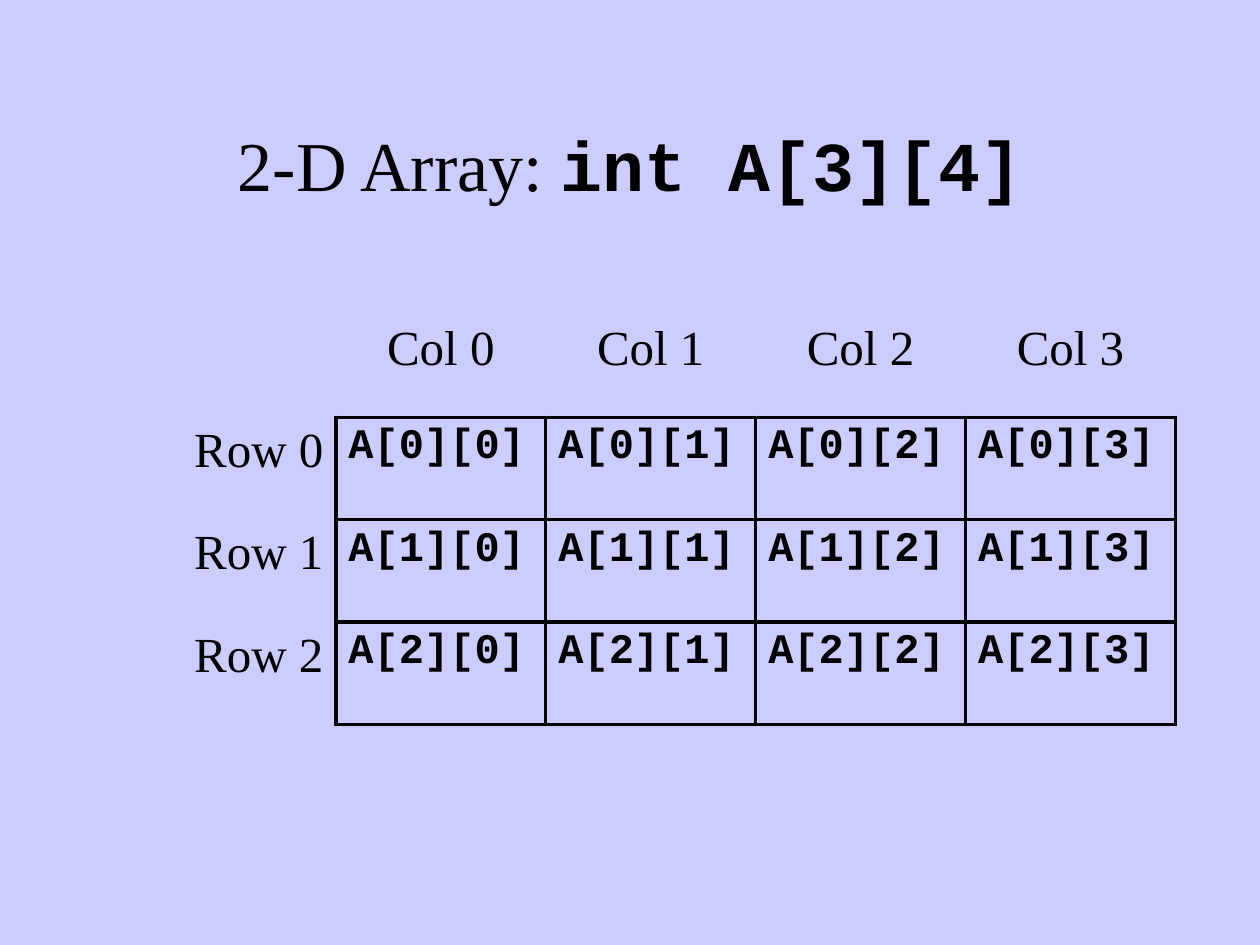
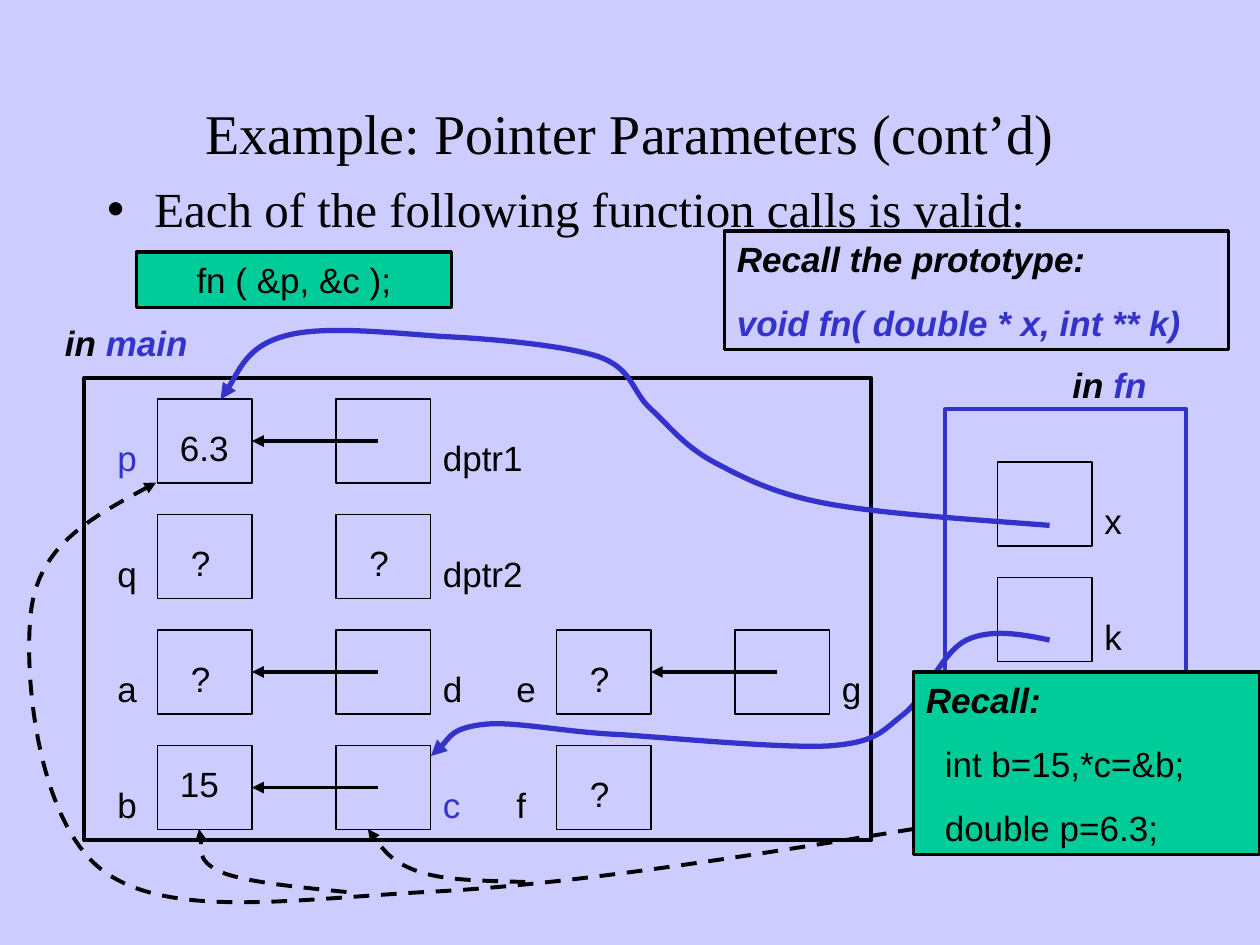
from lxml.etree import SubElement
from pptx import Presentation
from pptx.dml.color import RGBColor
from pptx.enum.dml import MSO_LINE
from pptx.enum.shapes import MSO_CONNECTOR, MSO_SHAPE
from pptx.enum.text import MSO_ANCHOR as Anchor, PP_ALIGN as Align
from pptx.oxml.ns import qn
from pptx.util import Inches, Pt

COLOURS = {"background": "CCCCFF", "ink": "000000", "accent": "3333CC", "call": "00CC99"}
SERIF, SANS, MONO = "Times New Roman", "Arial", "Courier New"
TITLE_SIZE = (8.5, 1.25)
UNIT = 1 / 12  # drawing grid step of the pointer diagram, in inches

# Content: array table
ARRAY_TITLE = [("2-D Array: ", {}), ("int A[3][4]", {"name": MONO, "bold": True})]
ARRAY_ROWS, ARRAY_COLUMNS = 3, 4
TABLE_FRAME = (1, 2.5, 8.33, 3.25)
BORDER_WIDTH = 2.21

# Content: pointer diagram, in grid units
POINTER_TITLE = [("Example: Pointer Parameters (cont’d)", {})]
POINTER_BULLET = [("Each of the following function calls is valid:", {})]
CELL_WIDTH, CELL_HEIGHT, ROW_STEP = 9, 8, 11
CELL_COLUMNS = (15, 32, 53, 70)
MAIN_TOP, FN_TOP, FN_COLUMN = 38, 44, 95
LABEL_WIDTH, TEXT_HEIGHT = 5, 5.25
MAIN_FRAME = (8, 36, 75, 44)
FN_FRAME = (90, 39, 23, 25)

# (column, row, name, side of the name, colour)
MAIN_CELLS = [
    (0, 0, "p", "left", "accent"), (0, 1, "q", "left", "ink"),
    (0, 2, "a", "left", "ink"), (0, 3, "b", "left", "ink"),
    (1, 0, "dptr1", "right", "ink"), (1, 1, "dptr2", "right", "ink"),
    (1, 2, "d", "right", "ink"), (1, 3, "c", "right", "accent"),
    (2, 2, "e", "left", "ink"), (2, 3, "f", "left", "ink"),
    (3, 2, "g", "right", "ink"),
]
UNKNOWN_CELLS = [(0, 1), (1, 1), (0, 2), (2, 2), (2, 3)]
KNOWN_VALUES = [("6.3", 40), ("15", 72)]  # value, top
POINTER_ARROWS = [(1, 0), (1, 2), (1, 3), (3, 2)]  # each points one column left
FN_CELLS = ["x", "k"]

EMPHASIS = {"bold": True, "italic": True}
BLUE_EMPHASIS = {**EMPHASIS, "colour": "accent"}
CALL = [[("fn ( &p, &c );", {})]]
PROTOTYPE = [
    [("Recall the prototype:", EMPHASIS)],
    [("void fn( double * x, int ** k)", BLUE_EMPHASIS)],
]
RECALL = [[("Recall:", EMPHASIS)], [("int b=15,*c=&b;", {})], [("double p=6.3;", {})]]
IN_MAIN = [[("in ", EMPHASIS), ("main", BLUE_EMPHASIS)]]
IN_FN = [[("in ", EMPHASIS), ("fn", BLUE_EMPHASIS)]]

# Curves in inches: a start, then three Bezier points for each segment
X_TO_P = [
    (8.33, 4.17), (7.68, 4.12), (7.03, 4.08), (6.58, 4), (6.14, 3.92), (5.9, 3.79),
    (5.67, 3.67), (5.43, 3.54), (5.32, 3.39), (5.17, 3.25), (5.01, 3.11), (5.03, 2.93),
    (4.75, 2.83), (4.47, 2.74), (3.92, 2.69), (3.5, 2.67), (3.08, 2.64), (2.54, 2.58),
    (2.25, 2.67), (1.96, 2.75), (1.83, 3.08), (1.75, 3.17),
]
K_TO_C = [
    (8.33, 5.08), (8.1, 5.03), (7.86, 4.99), (7.67, 5.08), (7.47, 5.18), (7.35, 5.53),
    (7.17, 5.67), (6.99, 5.81), (6.96, 5.89), (6.58, 5.92), (6.21, 5.94), (5.37, 5.86),
    (4.92, 5.83), (4.46, 5.81), (4.08, 5.72), (3.83, 5.75), (3.58, 5.78), (3.49, 5.96),
    (3.42, 6),
]
RECALL_TO_P = [
    (7.25, 6.58), (5.85, 6.81), (4.45, 7.03), (3.38, 7.08), (2.31, 7.14), (1.35, 7.29),
    (0.83, 6.92), (0.3, 6.54), (0.18, 5.35), (0.25, 4.83), (0.32, 4.32), (0.78, 4.08),
    (1.24, 3.83),
]
RECALL_TO_C = [
    (4.17, 7), (3.85, 6.99), (3.54, 6.99), (3.33, 6.92), (3.12, 6.85), (3.02, 6.72),
    (2.92, 6.58),
]
RECALL_TO_B = [
    (2.75, 7.08), (2.35, 7.04), (1.94, 7), (1.75, 6.92), (1.56, 6.83), (1.61, 6.64),
    (1.58, 6.58),
]


def colour(name):
    return RGBColor.from_string(COLOURS[name])


# Text
def write_runs(paragraph, runs, name, size):
    for text, changes in runs:
        run = paragraph.add_run()
        run.text = text
        values = {"name": name, "size": Pt(size), "bold": False, "italic": False,
                  "colour": "ink", **changes}
        run.font.color.rgb = colour(values.pop("colour"))
        for attribute, value in values.items():
            setattr(run.font, attribute, value)


def write_box(shape, paragraphs, align=Align.LEFT, indents=()):
    frame = shape.text_frame
    frame.word_wrap = True
    frame.vertical_anchor = Anchor.TOP
    for index, runs in enumerate(paragraphs):
        paragraph = frame.paragraphs[0] if index == 0 else frame.add_paragraph()
        paragraph.alignment = align
        paragraph.space_before = Pt(12.5 if index else 0)
        if index < len(indents):
            paragraph._p.get_or_add_pPr().set("marL", str(Inches(indents[index])))
        write_runs(paragraph, runs, SANS, 20)


def place(shape, left, top, width, height):
    shape.left, shape.top = Inches(left), Inches(top)
    shape.width, shape.height = Inches(width), Inches(height)


def set_placeholder(shape, frame, runs, size):
    place(shape, *frame)
    paragraph = shape.text_frame.paragraphs[0]
    paragraph.space_before = Pt(0)
    write_runs(paragraph, runs, SERIF, size)


def add_titled_slide(presentation, layout, runs, size, top):
    slide = presentation.slides.add_slide(presentation.slide_layouts[layout])
    set_placeholder(slide.shapes.title, (0.75, top, *TITLE_SIZE), runs, size)
    slide.shapes.title.text_frame.vertical_anchor = Anchor.MIDDLE
    return slide


# Shapes on the grid
def on_grid(*units):
    return [Inches(unit * UNIT) for unit in units]


def add_box(slide, frame, width, line="ink", fill=None):
    shape = slide.shapes.add_shape(MSO_SHAPE.RECTANGLE, *on_grid(*frame))
    shape.shadow.inherit = False
    if fill:
        shape.fill.solid()
        shape.fill.fore_color.rgb = colour(fill)
    else:
        shape.fill.background()
    shape.line.color.rgb = colour(line)
    shape.line.width = Pt(width)
    return shape


def add_label(slide, left, top, width, paragraphs, **options):
    box = slide.shapes.add_textbox(*on_grid(left, top, width, TEXT_HEIGHT))
    write_box(box, paragraphs, **options)


def add_cell(slide, left, top, name, side="right", name_colour="ink"):
    add_box(slide, (left, top, CELL_WIDTH, CELL_HEIGHT), 0.75)
    label_left = left + CELL_WIDTH if side == "right" else left - LABEL_WIDTH
    width = 12 if len(name) > 1 else LABEL_WIDTH
    add_label(slide, label_left, top + 3, width, [[(name, {"colour": name_colour})]])


def style_arrow(shape, line, width, dash=None):
    shape.line.color.rgb = colour(line)
    shape.line.width = Pt(width)
    if dash:
        shape.line.dash_style = dash
    properties = shape._element.spPr
    SubElement(properties.find(qn("a:ln")), qn("a:tailEnd"), type="triangle")
    SubElement(properties, qn("a:effectLst"))


def add_curve(slide, points, line="ink", width=2.25, dash=None):
    points = [(Inches(x), Inches(y)) for x, y in points]
    builder = slide.shapes.build_freeform(*points[0])
    builder.add_line_segments(points[1:], close=False)
    shape = builder.convert_to_shape()
    shape.fill.background()
    # Turn every three straight steps into one Bezier segment
    outline = next(shape._element.iter(qn("a:path")))
    steps = outline.findall(qn("a:lnTo"))
    for start in range(0, len(steps), 3):
        bezier = SubElement(outline, qn("a:cubicBezTo"))
        for step in steps[start:start + 3]:
            bezier.append(step[0])
            outline.remove(step)
    style_arrow(shape, line, width, dash)


# Table
def set_borders(cell, sides):
    properties = cell._tc.get_or_add_tcPr()
    for side in "LRTB":
        line = SubElement(properties, qn(f"a:ln{side}"), w=str(Pt(BORDER_WIDTH)))
        if side in sides:
            fill = SubElement(line, qn("a:solidFill"))
            SubElement(fill, qn("a:srgbClr"), val=COLOURS["ink"])
        else:
            SubElement(line, qn("a:noFill"))
    cell.fill.background()


def table_cell(row, column):
    """Return the text, alignment, font, size, weight and border sides."""
    if row and column:
        return f"A[{row - 1}][{column - 1}]", Align.LEFT, MONO, 24, True, "LRTB"
    if row:
        return f"Row {row - 1}", Align.RIGHT, SERIF, 28, False, "R"
    if column:
        return f"Col {column - 1}", Align.CENTER, SERIF, 28, False, "B"
    return "", Align.LEFT, SERIF, 28, False, ""


def build_array_slide(presentation):
    slide = add_titled_slide(presentation, 5, ARRAY_TITLE, 40, 0.67)
    rows, columns = ARRAY_ROWS + 1, ARRAY_COLUMNS + 1
    frame = [Inches(length) for length in TABLE_FRAME]
    table = slide.shapes.add_table(rows, columns, *frame).table
    table.first_row = table.horz_banding = False
    for row in range(rows):
        for column in range(columns):
            text, align, name, size, bold, sides = table_cell(row, column)
            cell = table.cell(row, column)
            set_borders(cell, sides)
            if text:
                paragraph = cell.text_frame.paragraphs[0]
                paragraph.alignment = align
                write_runs(paragraph, [(text, {"bold": bold})], name, size)


def build_pointer_slide(presentation):
    slide = add_titled_slide(presentation, 1, POINTER_TITLE, 32, 0.42)
    body = slide.placeholders[1]
    set_placeholder(body, (0.75, 1.33, 8.5, 0.67), POINTER_BULLET, 28)
    body.text_frame.margin_top = Inches(0.09)
    write_box(add_box(slide, (13, 24, 30, TEXT_HEIGHT), 1.75, fill="call"),
              CALL, align=Align.CENTER)

    # Variables of main
    def row_top(row):
        return MAIN_TOP + ROW_STEP * row

    for column, row, *name in MAIN_CELLS:
        add_cell(slide, CELL_COLUMNS[column], row_top(row), *name)
    for column, row in POINTER_ARROWS:
        y = row_top(row) + CELL_HEIGHT / 2
        ends = on_grid(CELL_COLUMNS[column] + 4, y, CELL_COLUMNS[column - 1] + CELL_WIDTH, y)
        arrow = slide.shapes.add_connector(MSO_CONNECTOR.STRAIGHT, *ends)
        style_arrow(arrow, "ink", 2.25)
    for column, row in UNKNOWN_CELLS:
        add_label(slide, CELL_COLUMNS[column] + 2, row_top(row) + 2, LABEL_WIDTH, [[("?", {})]])
    for value, top in KNOWN_VALUES:
        add_label(slide, CELL_COLUMNS[0], top, 8, [[(value, {})]], indents=[0.08])
    write_box(add_box(slide, (69, 22, 48, 11.25), 1.75), PROTOTYPE)
    add_box(slide, MAIN_FRAME, 2.25)

    # Parameters of fn
    for row, name in enumerate(FN_CELLS):
        add_cell(slide, FN_COLUMN, FN_TOP + ROW_STEP * row, name)
    for points in (X_TO_P, K_TO_C):
        add_curve(slide, points, "accent", 3)
    add_box(slide, FN_FRAME, 2.25, line="accent")
    add_label(slide, 5, 30, 16, IN_MAIN)
    add_label(slide, 100, 34, 16, IN_FN, indents=[0.08])

    # Reminder and its dashed arrows
    write_box(add_box(slide, (87, 64, 33, 17.4), 1.75, fill="call"),
              RECALL, indents=[0, 0.15, 0.15])
    for points in (RECALL_TO_P, RECALL_TO_C, RECALL_TO_B):
        add_curve(slide, points, dash=MSO_LINE.DASH)


def main():
    presentation = Presentation()
    presentation.slide_width, presentation.slide_height = Inches(10), Inches(7.5)
    background = presentation.slide_master.background.fill
    background.solid()
    background.fore_color.rgb = colour("background")
    build_array_slide(presentation)
    build_pointer_slide(presentation)
    presentation.save("out.pptx")


if __name__ == "__main__":
    main()
